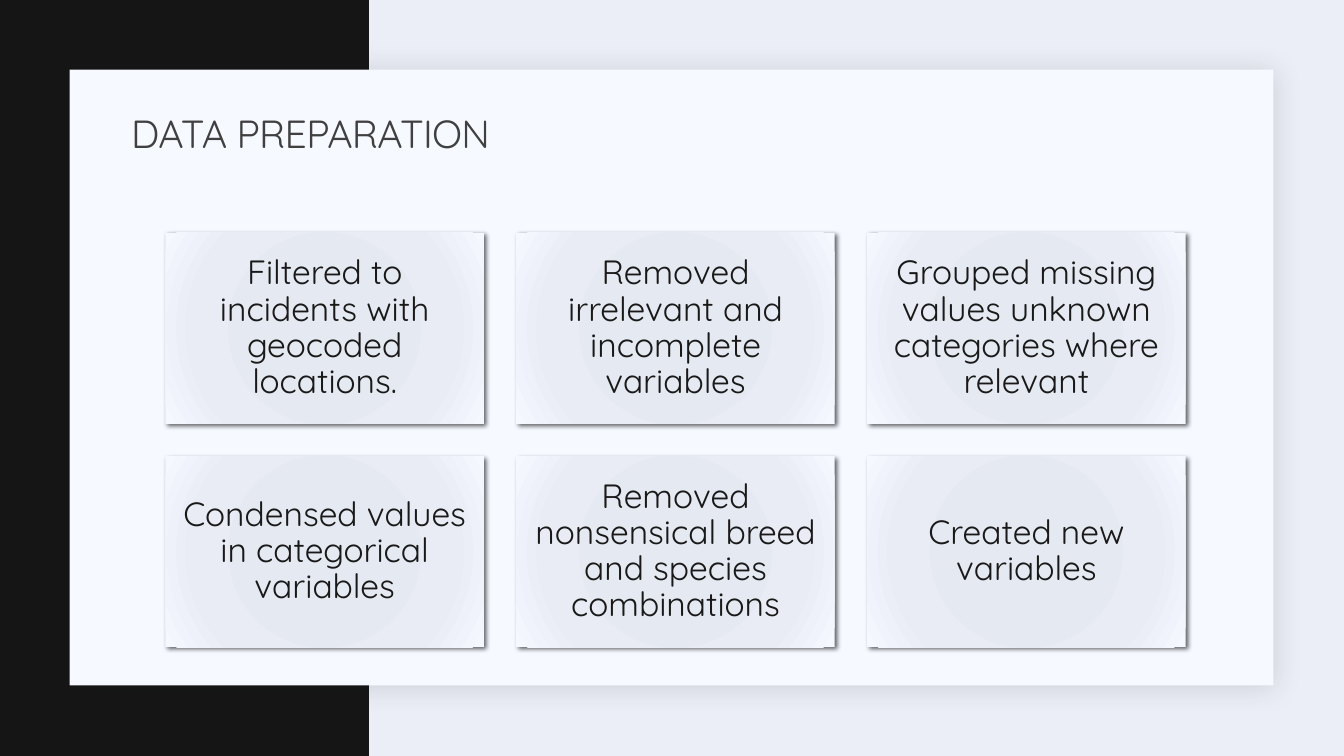
from lxml.etree import SubElement
from pptx import Presentation
from pptx.dml.color import RGBColor
from pptx.enum.shapes import MSO_SHAPE
from pptx.enum.text import MSO_ANCHOR, MSO_AUTO_SIZE, PP_ALIGN
from pptx.oxml import parse_xml
from pptx.oxml.ns import nsdecls, qn
from pptx.util import Inches, Pt

WIDTH, HEIGHT = 13.33, 7.5
FONT = "Quicksand"
CARD_STOPS = [(0, "E3E7EF"), (34, "E5E9F1"), (70, "E9ECF5"), (100, "F5F8FF")]
STEPS = [
    "Filtered to incidents with geocoded locations.",
    "Removed irrelevant and incomplete variables",
    "Grouped missing values unknown categories where relevant",
    "Condensed values in categorical variables",
    "Removed\vnonsensical breed and species combinations",
    "Created new variables",
]


def color(value):
    """Turn a hex string into a colour."""
    return RGBColor.from_string(value)


def add_rectangle(slide, box, fill=None):
    """Add a borderless rectangle without a shadow."""
    shape = slide.shapes.add_shape(MSO_SHAPE.RECTANGLE, *map(Inches, box))
    shape.shadow.inherit = False
    shape.line.fill.background()
    if fill:
        shape.fill.solid()
        shape.fill.fore_color.rgb = color(fill)
    return shape


def cast_shadow(shape, tint, opacity, blur, distance):
    """Give a shape an outer shadow towards the lower right."""
    effects = shape._element.spPr.find(qn("a:effectLst"))
    shadow = SubElement(effects, qn("a:outerShdw"), blurRad=str(Pt(blur)),
                        dist=str(Pt(distance)), dir="2700000", algn="tl", rotWithShape="0")
    shade = SubElement(shadow, qn("a:srgbClr"), val=tint)
    SubElement(shade, qn("a:alpha"), val=str(opacity * 1000))


def fill_radially(shape, stops):
    """Fill a shape with a circular gradient."""
    marks = "".join(f'<a:gs pos="{position * 1000}"><a:srgbClr val="{tint}"/></a:gs>'
                    for position, tint in stops)
    gradient = parse_xml(
        f'<a:gradFill {nsdecls("a")} rotWithShape="1"><a:gsLst>{marks}</a:gsLst>'
        '<a:path path="circle"><a:fillToRect l="100000" t="100000" r="100000" b="100000"/>'
        '</a:path></a:gradFill>')
    shape._element.spPr.find(qn("a:ln")).addprevious(gradient)


def write_text(shape, text, size, tint, align):
    """Write one paragraph, centred vertically in its shape."""
    frame = shape.text_frame
    frame.text = text
    frame.word_wrap = True
    frame.auto_size = MSO_AUTO_SIZE.NONE
    frame.vertical_anchor = MSO_ANCHOR.MIDDLE
    para = frame.paragraphs[0]
    para.alignment = align
    para.line_spacing = 0.9
    for span in para.runs:
        span.font.name = FONT
        span.font.size = Pt(size)
        span.font.color.rgb = color(tint)


def add_backdrop(slide, box):
    """Paint the background, the dark side band and the raised panel."""
    slide.background.fill.solid()
    slide.background.fill.fore_color.rgb = color("ECEEF7")
    add_rectangle(slide, (0, 0, 3.66, HEIGHT), "141514")
    panel = add_rectangle(slide, box, "F6F9FF")
    cast_shadow(panel, "1F2125", 15, 20, 2)


def add_title(slide, box, text):
    """Place the title in front of the panel."""
    title = slide.shapes.title
    title.left, title.top, title.width, title.height = map(Inches, box)
    write_text(title, text, 28, "404040", PP_ALIGN.LEFT)
    title.text_frame.paragraphs[0].runs[0].font._element.set("spc", "-50")
    slide.shapes._spTree.append(title._element)


def add_card(slide, box, text):
    """Add one shaded card with its step."""
    card = add_rectangle(slide, box)
    fill_radially(card, CARD_STOPS)
    cast_shadow(card, "000000", 60, 3.5, 2)
    write_text(card, text, 24, "191919", PP_ALIGN.CENTER)
    frame = card.text_frame
    frame.margin_left = frame.margin_right = Inches(0.1)
    frame.margin_top = frame.margin_bottom = Inches(0.1)


def add_card_grid(slide, box, texts, columns=3, gap=0.32):
    """Spread the cards over an even grid inside the box."""
    left, top, width, height = box
    rows = -(-len(texts) // columns)
    card_width = (width - gap * (columns - 1)) / columns
    card_height = (height - gap * (rows - 1)) / rows
    for index, text in enumerate(texts):
        row, column = divmod(index, columns)
        add_card(slide, (left + column * (card_width + gap), top + row * (card_height + gap),
                         card_width, card_height), text)


def main():
    """Build and save the deck."""
    deck = Presentation()
    deck.slide_width, deck.slide_height = Inches(WIDTH), Inches(HEIGHT)
    page = deck.slides.add_slide(deck.slide_layouts[5])
    add_backdrop(page, (0.69, 0.69, 11.94, 6.11))
    add_title(page, (1.2, 1.03, 11, 0.64), "DATA PREPARATION")
    add_card_grid(page, (1.64, 2.31, 10.12, 4.11), STEPS)
    deck.save("out.pptx")


if __name__ == "__main__":
    main()
